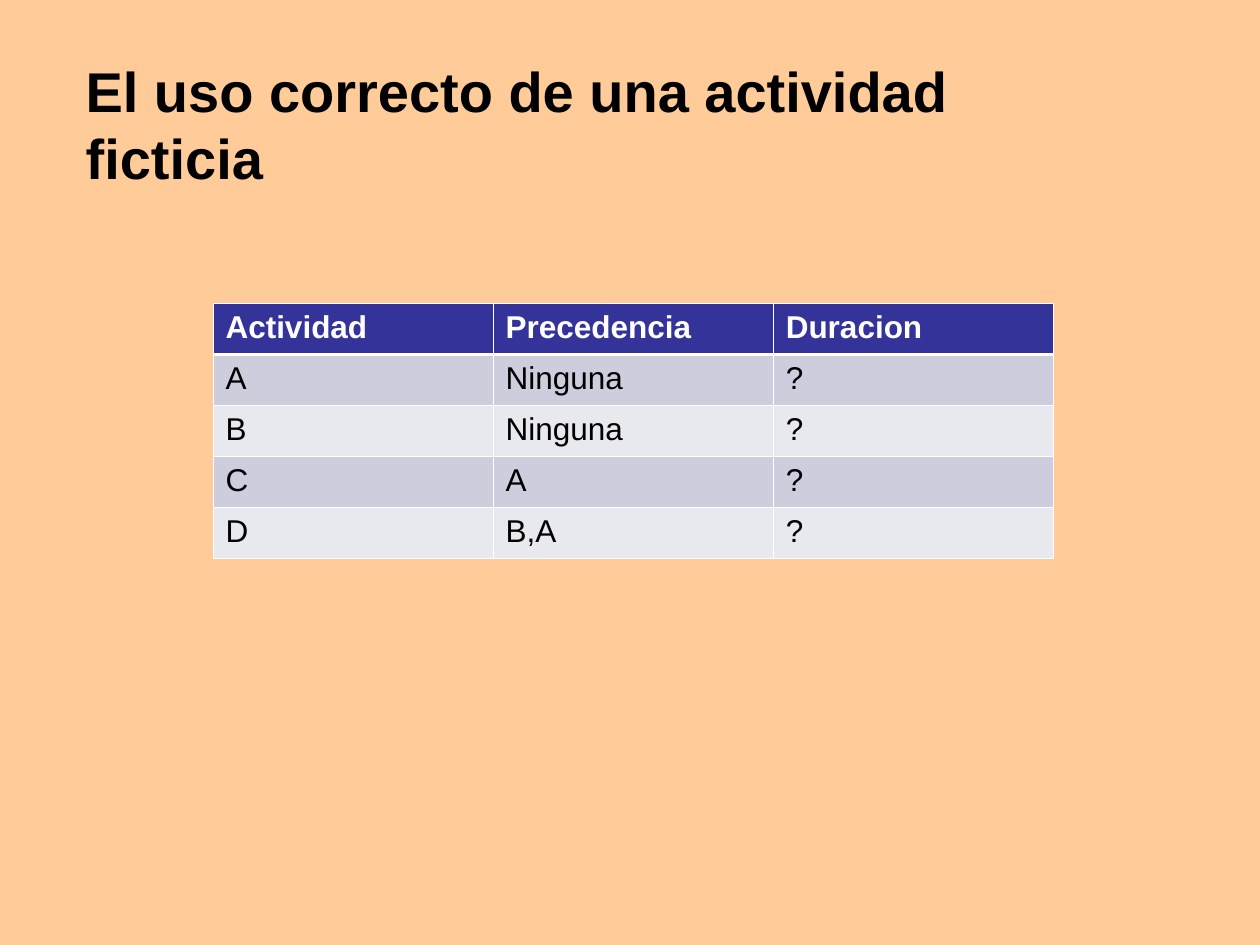
from lxml import etree
from pptx import Presentation
from pptx.dml.color import RGBColor
from pptx.enum.text import MSO_ANCHOR, MSO_AUTO_SIZE, PP_ALIGN
from pptx.oxml.ns import qn
from pptx.util import Inches, Pt

TOP = MSO_ANCHOR.TOP
LEFT = PP_ALIGN.LEFT
FIT_SHAPE = MSO_AUTO_SIZE.SHAPE_TO_FIT_TEXT
TITLE_ONLY = 5
FONT = "Arial"
COLORS = {
    "background": "FFCC99",
    "text": "000000",
    "white": "FFFFFF",
    "header": "333399",
    "odd": "CDCDDE",
    "even": "E8E8EF",
}
ACTIVITIES = [
    ("Actividad", "Precedencia", "Duracion"),
    ("A", "Ninguna", "?"),
    ("B", "Ninguna", "?"),
    ("C", "A", "?"),
    ("D", "B,A", "?"),
]


class SlideBuilder:
    """Hold the style and the current slide, and add its elements."""

    def __init__(self, deck):
        self.page = deck.slides.add_slide(deck.slide_layouts[TITLE_ONLY])
        self.fill(self.page.background.fill, "background")

    def fill(self, target, color):
        target.solid()
        target.fore_color.rgb = RGBColor.from_string(COLORS[color])

    def set_text(self, frame, text, size, color, bold):
        frame.text = text
        para = frame.paragraphs[0]
        para.alignment = LEFT
        for span in para.runs:
            span.font.name = FONT
            span.font.size = Pt(size)
            span.font.bold = bold
            span.font.color.rgb = RGBColor.from_string(COLORS[color])

    def title(self, text, left, top, width, height):
        box = self.page.shapes.title
        box.left, box.top = Inches(left), Inches(top)
        box.width, box.height = Inches(width), Inches(height)
        frame = box.text_frame
        frame.word_wrap = False
        frame.auto_size = FIT_SHAPE
        frame.vertical_anchor = TOP
        self.set_text(frame, text, 32, "text", True)

    def border(self, cell, side, width):
        properties = cell._tc.get_or_add_tcPr()
        line = etree.SubElement(properties, qn(f"a:ln{side}"), w=str(Pt(width)))
        solid = etree.SubElement(line, qn("a:solidFill"))
        etree.SubElement(solid, qn("a:srgbClr"), val=COLORS["white"])

    def table(self, rows, left, top, width, height):
        frame = self.page.shapes.add_table(
            len(rows), len(rows[0]),
            Inches(left), Inches(top), Inches(width), Inches(height),
        )
        for row, values in enumerate(rows):
            header = row == 0
            band = "header" if header else "odd" if row % 2 else "even"
            for column, value in enumerate(values):
                cell = frame.table.cell(row, column)
                color = "white" if header else "text"
                self.set_text(cell.text_frame, value, 18, color, header)
                for side in "LRTB":
                    thick = (row, side) in ((0, "B"), (1, "T"))
                    self.border(cell, side, 1.47 if thick else 0.45)
                self.fill(cell.fill, band)


def main():
    deck = Presentation()
    deck.slide_width, deck.slide_height = Inches(10), Inches(7.5)
    builder = SlideBuilder(deck)
    builder.title("El uso correcto de una actividad ficticia", 0.58, 0.4, 8.58, 0.64)
    builder.table(ACTIVITIES, 1.69, 2.41, 6.67, 2.02)
    deck.save("out.pptx")


if __name__ == "__main__":
    main()
